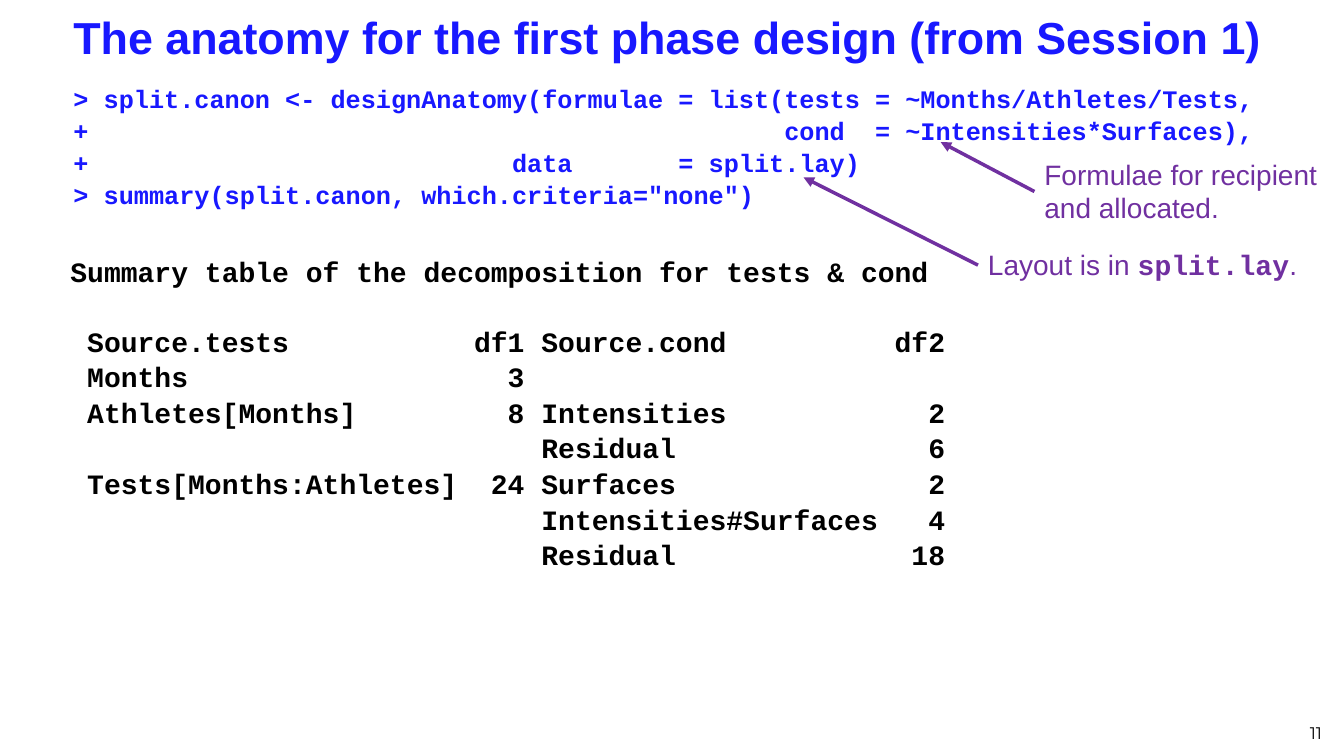
"""Build the slide on the anatomy of the first phase design."""
from dataclasses import dataclass

from lxml import etree
from pptx import Presentation
from pptx import util as u
from pptx.dml.color import RGBColor
from pptx.enum import shapes, text
from pptx.oxml import ns


@dataclass(frozen=True)
class Theme:
    blue: str = "1818FF"
    purple: str = "7030A0"
    black: str = "000000"
    sans: str = "Arial"
    mono: str = "Courier New"
    number: str = "Montserrat"
    title_size: int = 32
    label_size: int = 20
    code_size: int = 18
    number_size: int = 12
    arrow_width: float = 2.5
    code_spacing: float = 1.06
    output_gap: int = 24


CODE = [
    "> split.canon <- designAnatomy(formulae = list(tests = ~Months/Athletes/Tests,",
    "+                                              cond  = ~Intensities*Surfaces),",
    "+                            data       = split.lay)",
    '> summary(split.canon, which.criteria="none")',
]
SUMMARY = "Summary table of the decomposition for tests & cond"
DECOMPOSITION = [
    ("Source.tests", "df1", "Source.cond", "df2"),
    ("Months", 3, "", ""),
    ("Athletes[Months]", 8, "Intensities", 2),
    ("", "", "Residual", 6),
    ("Tests[Months:Athletes]", 24, "Surfaces", 2),
    ("", "", "Intensities#Surfaces", 4),
    ("", "", "Residual", 18),
]


def write(para, words, *, font, size, color, bold=False):
    """Add a formatted span to a paragraph."""
    span = para.add_run()
    span.text = words
    span.font.name = font
    span.font.size = u.Pt(size)
    span.font.bold = bold
    span.font.color.rgb = RGBColor.from_string(color)


class Page:
    """Place styled elements on a slide with a grid of tenth-inch cells."""

    def __init__(self, deck, theme):
        self.theme = theme
        self.slide = deck.slides.add_slide(deck.slide_layouts[6])
        self.column = deck.slide_width / 133.3
        self.row = deck.slide_height / 75

    def place(self, column, row):
        return round(column * self.column), round(row * self.row)

    def frame(self, left, top, width, height, anchor=text.MSO_ANCHOR.TOP):
        box = self.slide.shapes.add_textbox(
            *self.place(left, top), *self.place(width, height))
        box.text_frame.word_wrap = True
        box.text_frame.vertical_anchor = anchor
        return box.text_frame

    def title(self, words, *area):
        para = self.frame(*area, anchor=text.MSO_ANCHOR.MIDDLE).paragraphs[0]
        write(para, words, font=self.theme.sans, size=self.theme.title_size,
              color=self.theme.blue, bold=True)

    def listing(self, lines, *area, size, color):
        frame = self.frame(*area)
        for index, line in enumerate(lines):
            para = frame.add_paragraph() if index else frame.paragraphs[0]
            para.line_spacing = self.theme.code_spacing
            write(para, line, font=self.theme.mono, size=size, color=color, bold=True)
        return frame

    def output(self, heading, rows, *area):
        lines = [f" {source:<22}{df:>4} {term:<20}{term_df:>4}".rstrip()
                 for source, df, term, term_df in rows]
        frame = self.listing([heading, *lines], *area,
                             size=self.theme.label_size, color=self.theme.black)
        frame.paragraphs[1].space_before = u.Pt(self.theme.output_gap)

    def label(self, spans, *area):
        para = self.frame(*area).paragraphs[0]
        for words, is_code in spans:
            write(para, words, font=self.theme.mono if is_code else self.theme.sans,
                  size=self.theme.label_size, color=self.theme.purple, bold=is_code)

    def arrow(self, start, end):
        line = self.slide.shapes.add_connector(
            shapes.MSO_CONNECTOR.STRAIGHT, *self.place(*start), *self.place(*end))
        line.line.color.rgb = RGBColor.from_string(self.theme.purple)
        line.line.width = u.Pt(self.theme.arrow_width)
        etree.SubElement(line.line._get_or_add_ln(), ns.qn("a:tailEnd"), type="triangle")
        etree.SubElement(line._element.spPr, ns.qn("a:effectLst"))

    def page_number(self, words, *area):
        para = self.frame(*area, anchor=text.MSO_ANCHOR.BOTTOM).paragraphs[0]
        para.alignment = text.PP_ALIGN.RIGHT
        write(para, words, font=self.theme.number, size=self.theme.number_size,
              color=self.theme.black)


def main():
    deck = Presentation()
    deck.slide_width, deck.slide_height = u.Inches(13.33), u.Inches(7.5)
    theme = Theme()
    page = Page(deck, theme)
    page.title("The anatomy for the first phase design (from Session 1)",
               6.3, -0.3, 126, 7.9)
    page.listing(CODE, 6.3, 7.6, 126, 13.6, size=theme.code_size, color=theme.blue)
    page.page_number("11", 101, 69.2, 31.1, 5)
    page.output(SUMMARY, DECOMPOSITION, 6, 24.6, 126, 31.5)
    page.label([("Layout is in ", False), ("split.lay", True), (".", False)],
               97, 24.1, 34.1, 4.4)
    page.arrow((97, 26.3), (79.7, 17.6))
    page.label([("Formulae for recipient and allocated.", False)],
               102.6, 15.1, 31.2, 7.7)
    page.arrow((102.6, 19), (93.3, 14.1))
    deck.save("out.pptx")


if __name__ == "__main__":
    main()
